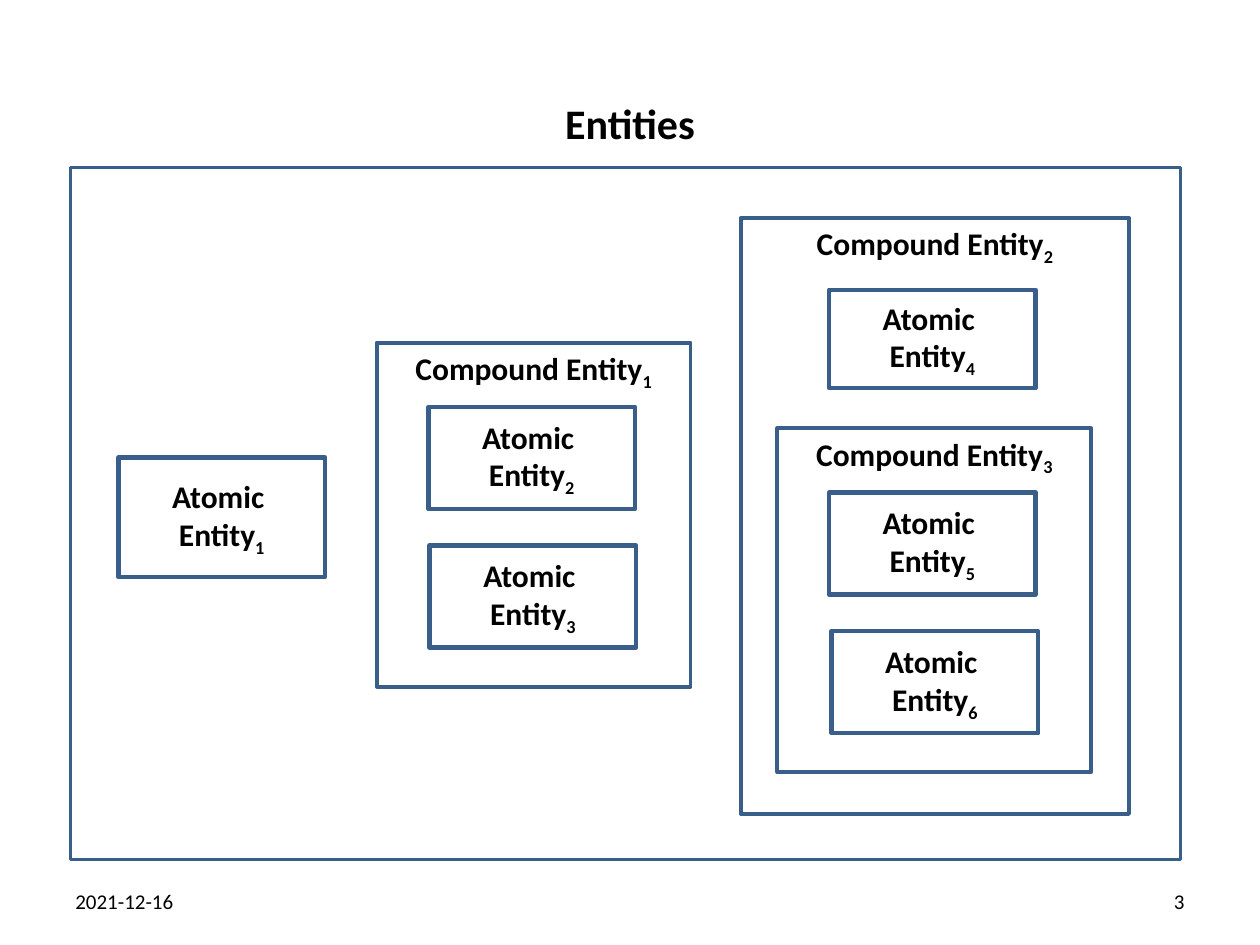
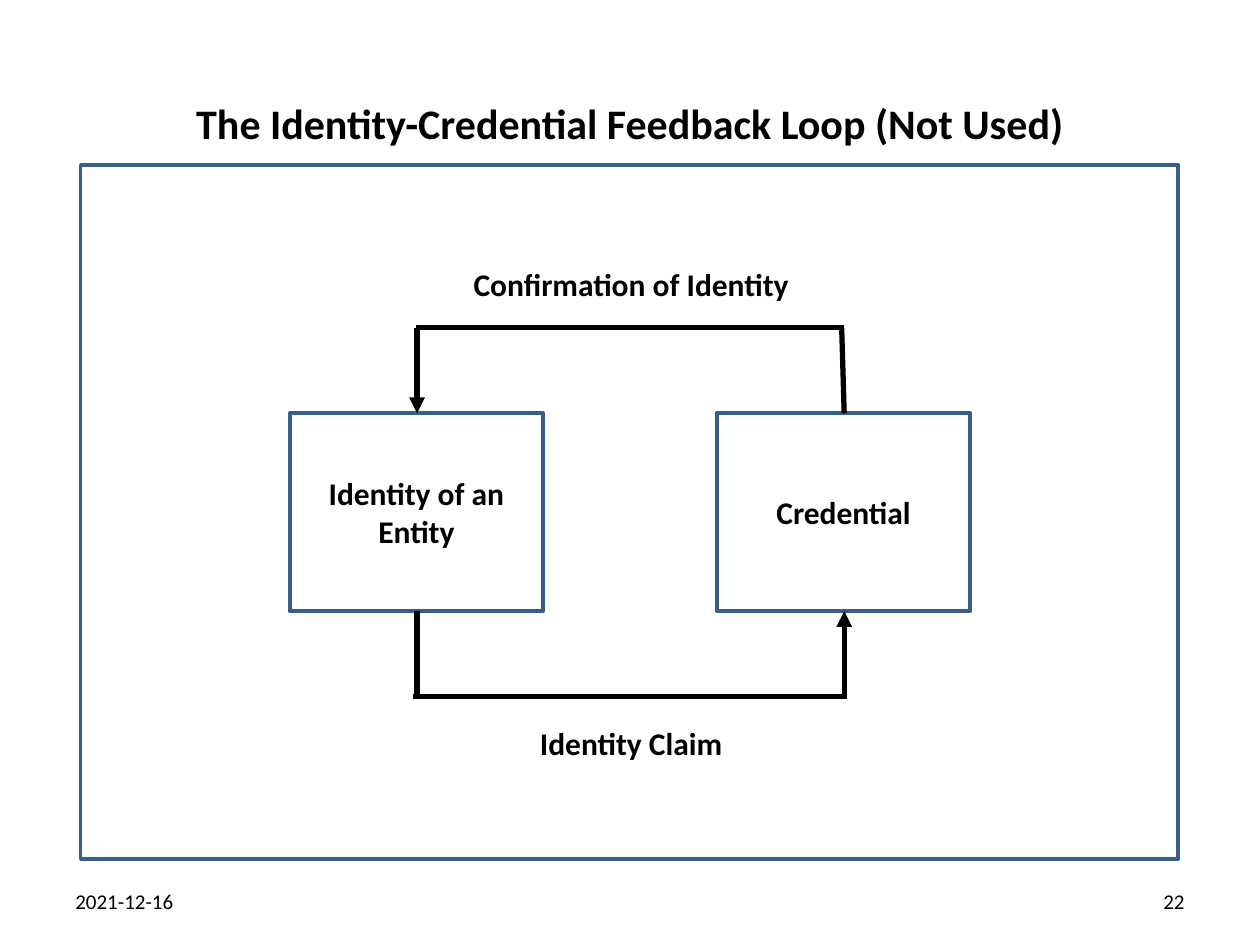
import pptx
import pptx.util
import pptx.dml.color
import pptx.enum.shapes
import pptx.enum.text
import pptx.oxml.ns
import lxml.etree

Inches = pptx.util.Inches
Pt = pptx.util.Pt
ALIGN = pptx.enum.text.PP_ALIGN
ANCHOR = pptx.enum.text.MSO_ANCHOR
RECTANGLE = pptx.enum.shapes.MSO_SHAPE.RECTANGLE
STRAIGHT = pptx.enum.shapes.MSO_CONNECTOR.STRAIGHT

COLORS = {"text": "000000", "outline": "395E89", "arrow": "000000"}
RGB = {name: pptx.dml.color.RGBColor.from_string(value) for name, value in COLORS.items()}
TITLE = {"name": "Calibri", "size": Pt(24), "bold": True}
LABEL = {"name": "Calibri", "size": Pt(18), "bold": True}
FOOTER = {"name": "Calibri", "size": Pt(12), "bold": False}


def write(shape, text, font_format, alignment=ALIGN.CENTER, anchor=ANCHOR.MIDDLE, subscript=""):
    frame = shape.text_frame
    frame_format = {
        "word_wrap": True,
        "auto_size": pptx.enum.text.MSO_AUTO_SIZE.NONE,
        "vertical_anchor": anchor,
    }
    for attribute, value in frame_format.items():
        setattr(frame, attribute, value)
    frame.text = text
    paragraph = frame.paragraphs[0]
    paragraph.alignment = alignment
    if subscript:
        run = paragraph.add_run()
        run.text = subscript
        run.font._element.set("baseline", "-25000")
    for run in paragraph.runs:
        for attribute, value in font_format.items():
            setattr(run.font, attribute, value)
        run.font.color.rgb = RGB["text"]


def add_box(slide, left, top, width, height, line_width):
    shape = slide.shapes.add_shape(
        RECTANGLE, Inches(left), Inches(top), Inches(width), Inches(height))
    shape.shadow.inherit = False
    shape.fill.background()
    shape.line.color.rgb = RGB["outline"]
    shape.line.width = Pt(line_width)
    return shape


presentation = pptx.Presentation()
presentation.slide_width = Inches(10)
presentation.slide_height = Inches(7.5)
title_only = presentation.slide_layouts[5]

pages = [
    ("Entities", "3", (0.56, 1.33, 8.81, 5.49)),
    ("The Identity-Credential Feedback Loop (Not Used)", "22", (0.64, 1.31, 8.71, 5.51)),
]
for title_text, number, border in pages:
    slide = presentation.slides.add_slide(title_only)
    title = slide.shapes.title
    title.left, title.top = Inches(0.91), Inches(0.72)
    title.width, title.height = Inches(8.18), Inches(0.5)
    write(title, title_text, TITLE)
    footers = [(0.5, "2021-12-16", ALIGN.LEFT), (7.17, number, ALIGN.RIGHT)]
    for left, text, alignment in footers:
        footer = slide.shapes.add_textbox(
            Inches(left), Inches(6.95), Inches(2.33), Inches(0.4))
        write(footer, text, FOOTER, alignment)
    add_box(slide, *border, 2)

entities_slide, loop_slide = presentation.slides

compound_entities = [
    ("2", 5.88, 1.73, 3.08, 4.73),
    ("3", 6.17, 3.4, 2.49, 2.73),
    ("1", 2.99, 2.72, 2.49, 2.73),
]
for number, left, top, width, height in compound_entities:
    compound = add_box(entities_slide, left, top, width, height, 2.25)
    write(compound, "Compound Entity", LABEL, anchor=ANCHOR.TOP, subscript=number)

atomic_entities = [
    ("1", 0.94, 3.63, 0.95),
    ("2", 3.4, 3.23, 0.81),
    ("3", 3.41, 4.33, 0.81),
    ("4", 6.58, 2.3, 0.78),
    ("5", 6.58, 3.91, 0.81),
    ("6", 6.6, 5.01, 0.81),
]
for number, left, top, height in atomic_entities:
    atomic = add_box(entities_slide, left, top, 1.64, height, 2.5)
    write(atomic, "Atomic \vEntity", LABEL, subscript=number)

for text, left in [("Identity of an Entity", 2.3), ("Credential", 5.69)]:
    write(add_box(loop_slide, left, 3.28, 2.01, 1.57, 2.5), text, LABEL)

for text, top in [("Confirmation of Identity", 2.05), ("Identity Claim", 5.7)]:
    caption = loop_slide.shapes.add_textbox(
        Inches(3.58), Inches(top), Inches(2.86), Inches(0.4))
    write(caption, text, LABEL)

loop_lines = [
    (6.7, 3.28, 6.68, 2.6, False),
    (6.7, 2.6, 3.3, 2.6, False),
    (3.31, 2.6, 3.31, 3.28, True),
    (3.31, 4.85, 3.31, 5.52, False),
    (3.28, 5.53, 6.68, 5.53, False),
    (6.7, 5.55, 6.7, 4.85, True),
]
for start_x, start_y, end_x, end_y, has_arrowhead in loop_lines:
    connector = loop_slide.shapes.add_connector(
        STRAIGHT, Inches(start_x), Inches(start_y), Inches(end_x), Inches(end_y))
    connector.line.color.rgb = RGB["arrow"]
    connector.line.width = Pt(3)
    if has_arrowhead:
        line = connector.line._get_or_add_ln()
        lxml.etree.SubElement(line, pptx.oxml.ns.qn("a:tailEnd"), type="triangle")
    properties = connector._element.spPr
    lxml.etree.SubElement(properties, pptx.oxml.ns.qn("a:effectLst"))

presentation.save("out.pptx")
